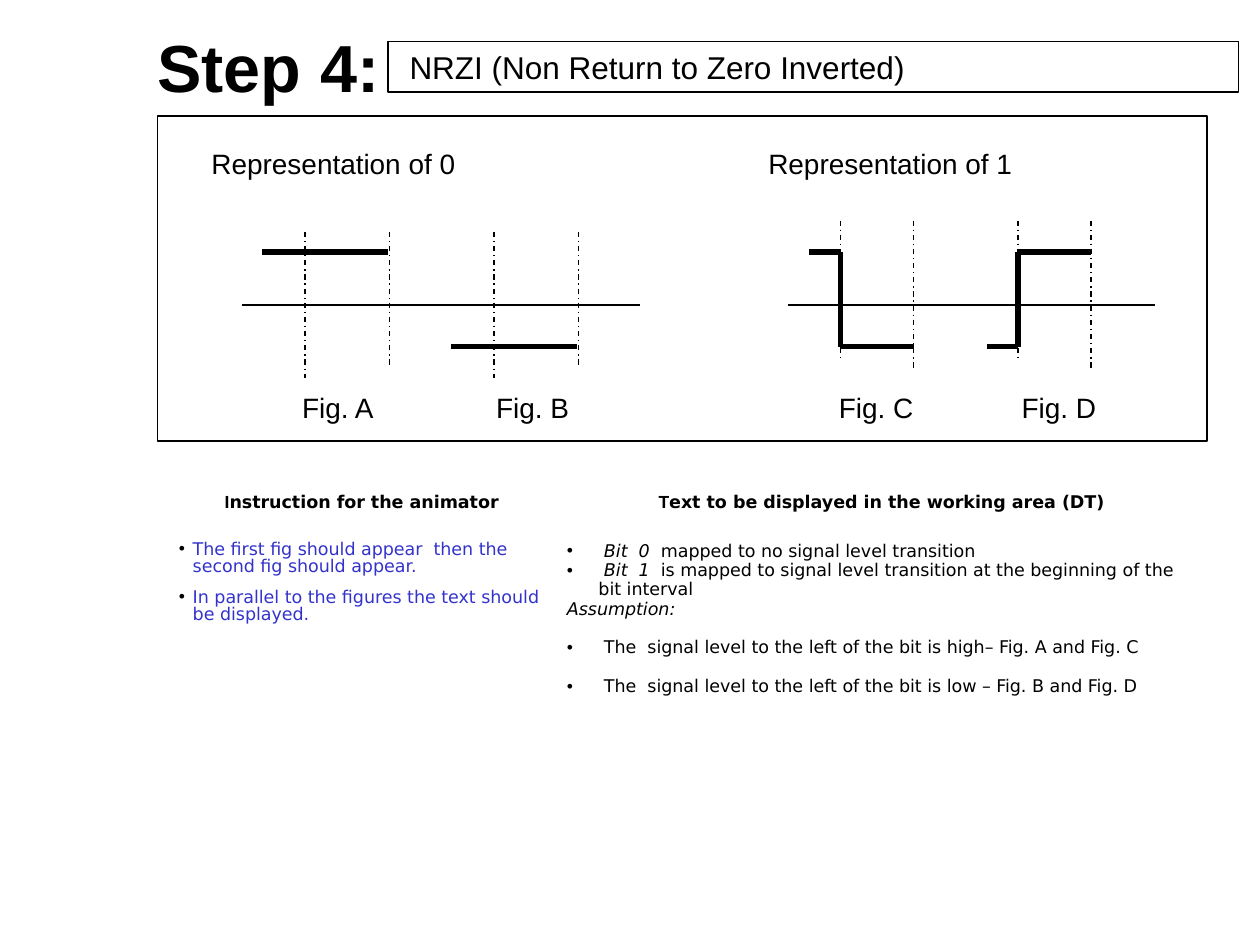
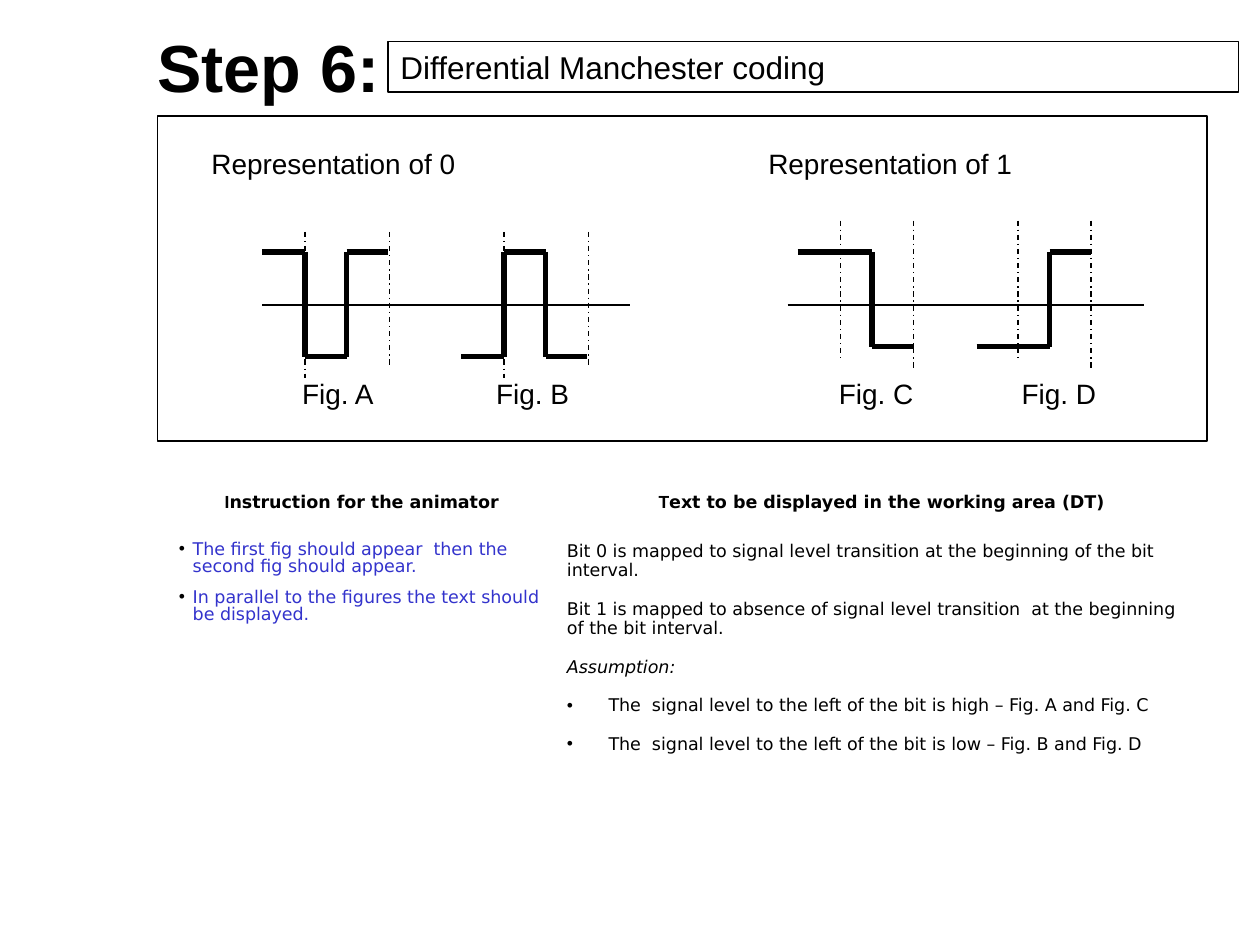
from itertools import pairwise
from lxml.etree import SubElement as Sub
from pptx import Presentation
from pptx.dml.color import RGBColor
from pptx.enum.dml import MSO_LINE as Dash
from pptx.enum.shapes import MSO_CONNECTOR as Link, MSO_SHAPE as Form
from pptx.enum.text import MSO_ANCHOR as Anchor, PP_ALIGN as Align
from pptx.oxml.ns import qn
from pptx.util import Inches, Pt

BLACK, WHITE, BLUE = "000000", "FFFFFF", "3333CC"
SANS, BODY = "Arial", "DejaVu Sans"
HIGH, ZERO, LOW, DEEP = 2, 2.42, 2.75, 2.83
LEFT = dict(gap=0.67, top=1.84, foot=3)
RIGHT = dict(gap=0.58, top=1.75, foot=2.84)
NOTES = ["The first fig should appear  then the second fig should appear.",
         "In parallel to the figures the text should be displayed."]


def tint(code):
    return RGBColor.from_string(code)


def write(frame, text, size=10, font=BODY, color=BLACK, bold=False, italic=False,
          align=Align.LEFT, line=1.0, before=0, hang=0, tabs=()):
    para = frame.paragraphs[0]
    if para.runs:
        para = frame.add_paragraph()
    props = para._p.get_or_add_pPr()
    if hang:
        props.set("marL", str(Inches(hang)))
        props.set("indent", str(-Inches(hang)))
        Sub(Sub(props, qn("a:buClr")), qn("a:srgbClr"), val=BLACK)
        Sub(props, qn("a:buFont"), typeface=SANS)
        Sub(props, qn("a:buChar"), char="•")
    if tabs:
        stops = Sub(props, qn("a:tabLst"))
        for stop in tabs:
            Sub(stops, qn("a:tab"), pos=str(Inches(stop)), algn="l")
    para.alignment = align
    para.line_spacing = line
    para.space_before = Pt(before)
    parts = [(text, {})] if isinstance(text, str) else text
    for words, own in parts:
        run = para.add_run()
        run.text = words
        face = run.font
        face.name = own.get("font", font)
        face.size = Pt(size)
        face.bold = bold
        face.italic = own.get("italic", italic)
        face.color.rgb = tint(color)


class Deck:
    def __init__(self):
        self.show = Presentation()
        self.show.slide_width = Inches(10)
        self.show.slide_height = Inches(7.5)

    def start(self):
        self.slide = self.show.slides.add_slide(self.show.slide_layouts[6])
        self.slide.background.fill.solid()
        self.slide.background.fill.fore_color.rgb = tint(WHITE)

    def inset(self, frame, side=0.1, edge=0.05):
        frame.word_wrap = True
        frame.vertical_anchor = Anchor.TOP
        frame.margin_left = frame.margin_right = Inches(side)
        frame.margin_top = frame.margin_bottom = Inches(edge)

    def label(self, box, text, side=0.1, edge=0.05, **style):
        frame = self.slide.shapes.add_textbox(*map(Inches, box)).text_frame
        self.inset(frame, side, edge)
        write(frame, text, **style)

    def panel(self, form, box, fill=None):
        shape = self.slide.shapes.add_shape(form, *map(Inches, box))
        shape.shadow.inherit = False
        if fill:
            shape.fill.solid()
            shape.fill.fore_color.rgb = tint(fill)
        else:
            shape.fill.background()
        shape.line.color.rgb = tint(BLACK)
        shape.line.width = Pt(0.75)
        return shape

    def line(self, here, there, width=0.75, dash=None):
        link = self.slide.shapes.add_connector(Link.STRAIGHT, *map(Inches, (*here, *there)))
        link.line.color.rgb = tint(BLACK)
        link.line.width = Pt(width)
        if dash:
            link.line.dash_style = dash
        Sub(link._element.spPr, qn("a:effectLst"))

    def wave(self, *points):
        for here, there in pairwise(points):
            self.line(here, there, width=3)

    def bit(self, x, gap, top, foot):
        self.line((x, top), (x, foot), dash=Dash.DASH_DOT)
        self.line((x + gap, top), (x + gap, 2.92), dash=Dash.DASH_DOT)

    def head(self, step, name, side):
        self.label((1.25, 0.25, 2, 0.67), step, side=0, edge=0,
                   size=38, font=SANS, bold=True, line=0.96)
        frame = self.panel(Form.RECTANGLE, (3.08, 0.33, 6.75, 0.4)).text_frame
        self.inset(frame, side)
        write(frame, name, size=18, font=SANS)
        self.panel(Form.ROUNDED_RECTANGLE, (1.25, 0.92, 8.33, 2.58), WHITE).adjustments[0] = 0

    def table(self, facts):
        grid = self.slide.shapes.add_table(2, 2, *map(Inches, (1.33, 3.75, 8.25, 3.47))).table
        grid.first_row = grid.horz_banding = False
        for col, wide in zip(grid.columns, (3.08, 5.17)):
            col.width = Inches(wide)
        for row, tall in zip(grid.rows, (0.5, 2.97)):
            row.height = Inches(tall)
        for cell in grid.iter_cells():
            cell.fill.background()
            cell.margin_left = cell.margin_right = Inches(0.09)
            cell.margin_top = cell.margin_bottom = Inches(0.05)
        heads = (("I", "nstruction for the animator"),
                 ("T", "ext to be displayed in the working area (DT)"))
        for col, (first, rest) in enumerate(heads):
            cell = grid.cell(0, col)
            cell.vertical_anchor = Anchor.MIDDLE
            write(cell.text_frame, [(first, {"font": SANS}), (rest, {})],
                  bold=True, align=Align.CENTER, line=0.76)
        for spot, note in enumerate(NOTES):
            write(grid.cell(1, 0).text_frame, note, color=BLUE, line=0.83,
                  before=8 * spot, hang=0.11)
        for text, style in facts:
            write(grid.cell(1, 1).text_frame, text, line=0.95, **style)

    def plot(self, bases, zeros, ones, waves, foot):
        for digit, x, wide in ((0, 1.58, 2.58), (1, 6, 3)):
            self.label((x, 1.17, wide, 0.31), f"Representation of {digit}",
                       size=16, font=SANS, line=0.76)
        for start, end in bases:
            self.line((start, ZERO), (end, ZERO))
        for x in zeros:
            self.bit(x, **LEFT)
        for x in ones:
            self.bit(x, **RIGHT)
        for points in waves:
            self.wave(*points)
        self.label((1.75, foot, 7.67, 0.31), "\tFig. A\tFig. B\tFig. C\tFig. D",
                   size=16, font=SANS, line=0.76, tabs=(0.55, 2.09, 4.81, 6.26))


def main():
    deck = Deck()
    slant, item, apart = {"italic": True}, {"hang": 0.25}, {"before": 11}

    deck.start()
    deck.head("Step 4:", "NRZI (Non Return to Zero Inverted)", 0.17)
    deck.table([
        ([(" Bit  0 ", slant), (" mapped to no signal level transition", {})], item),
        ([(" Bit  1  ", slant),
          ("is mapped to signal level transition at the beginning of the bit interval", {})], item),
        ("Assumption:", slant),
        (" The  signal level to the left of the bit is high– Fig. A and Fig. C", item | apart),
        (" The  signal level to the left of the bit is low – Fig. B and Fig. D", item | apart),
    ])
    deck.plot(
        bases=[(1.92, 5.08), (6.25, 9.17)], zeros=(2.42, 3.92), ones=(6.67, 8.08), foot=3.11,
        waves=[
            [(2.08, HIGH), (3.08, HIGH)],
            [(3.58, LOW), (4.58, LOW)],
            [(6.42, HIGH), (6.67, HIGH), (6.67, LOW), (7.25, LOW)],
            [(7.83, LOW), (8.08, LOW), (8.08, HIGH), (8.66, HIGH)],
        ])

    deck.start()
    deck.head("Step 6:", "Differential Manchester coding", 0.1)
    wide = {"hang": 0.33} | apart
    deck.table([
        ("Bit 0 is mapped to signal level transition at the beginning of the bit interval.", {}),
        ("Bit 1 is mapped to absence of signal level transition  at the beginning "
         "of the bit interval.", apart),
        ("Assumption:", slant | apart),
        ("The  signal level to the left of the bit is high – Fig. A and Fig. C", wide),
        ("The  signal level to the left of the bit is low – Fig. B and Fig. D", wide),
    ])
    deck.plot(
        bases=[(2.08, 5), (6.25, 9.08)], zeros=(2.42, 4), ones=(6.67, 8.08), foot=3,
        waves=[
            [(2.08, HIGH), (2.42, HIGH), (2.42, DEEP), (2.75, DEEP), (2.75, HIGH), (3.08, HIGH)],
            [(3.66, DEEP), (4, DEEP), (4, HIGH), (4.33, HIGH), (4.33, DEEP), (4.66, DEEP)],
            [(6.33, HIGH), (6.92, HIGH), (6.92, LOW), (7.25, LOW)],
            [(7.75, LOW), (8.33, LOW), (8.33, HIGH), (8.66, HIGH)],
        ])
    deck.show.save("out.pptx")


if __name__ == "__main__":
    main()
